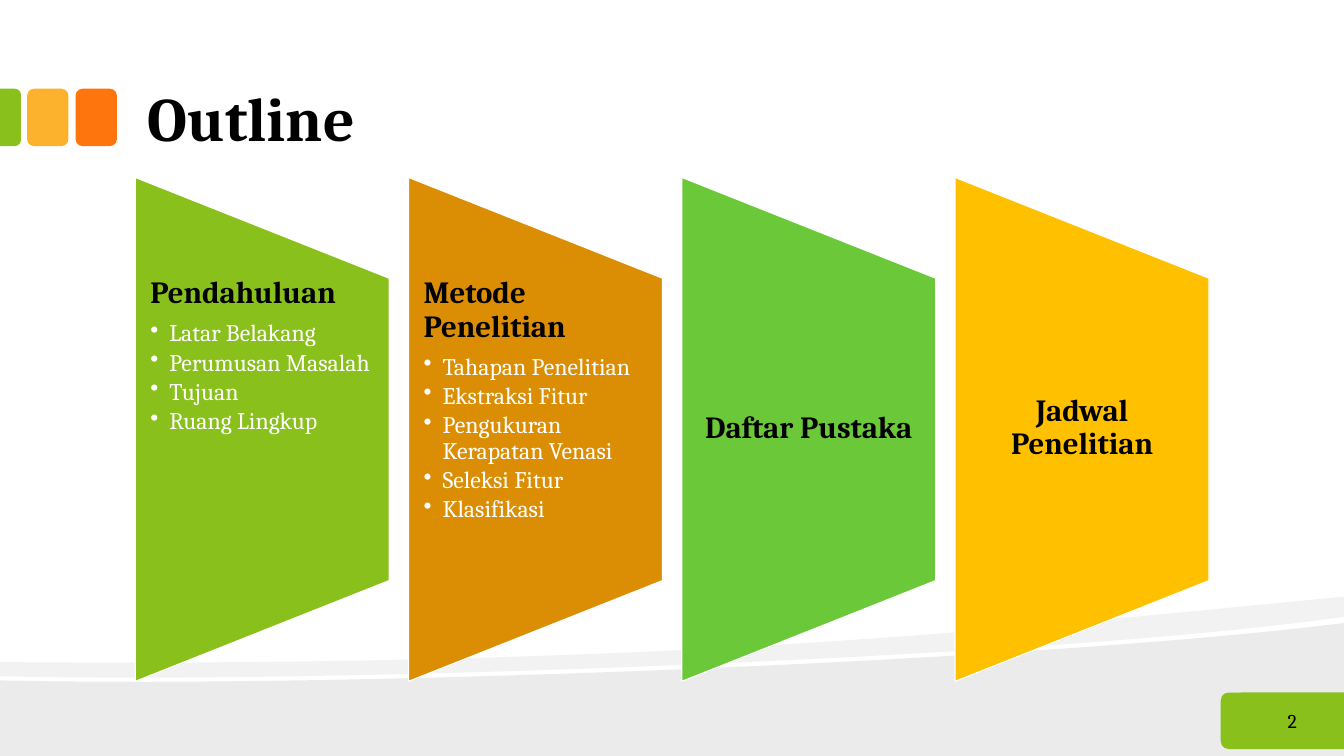
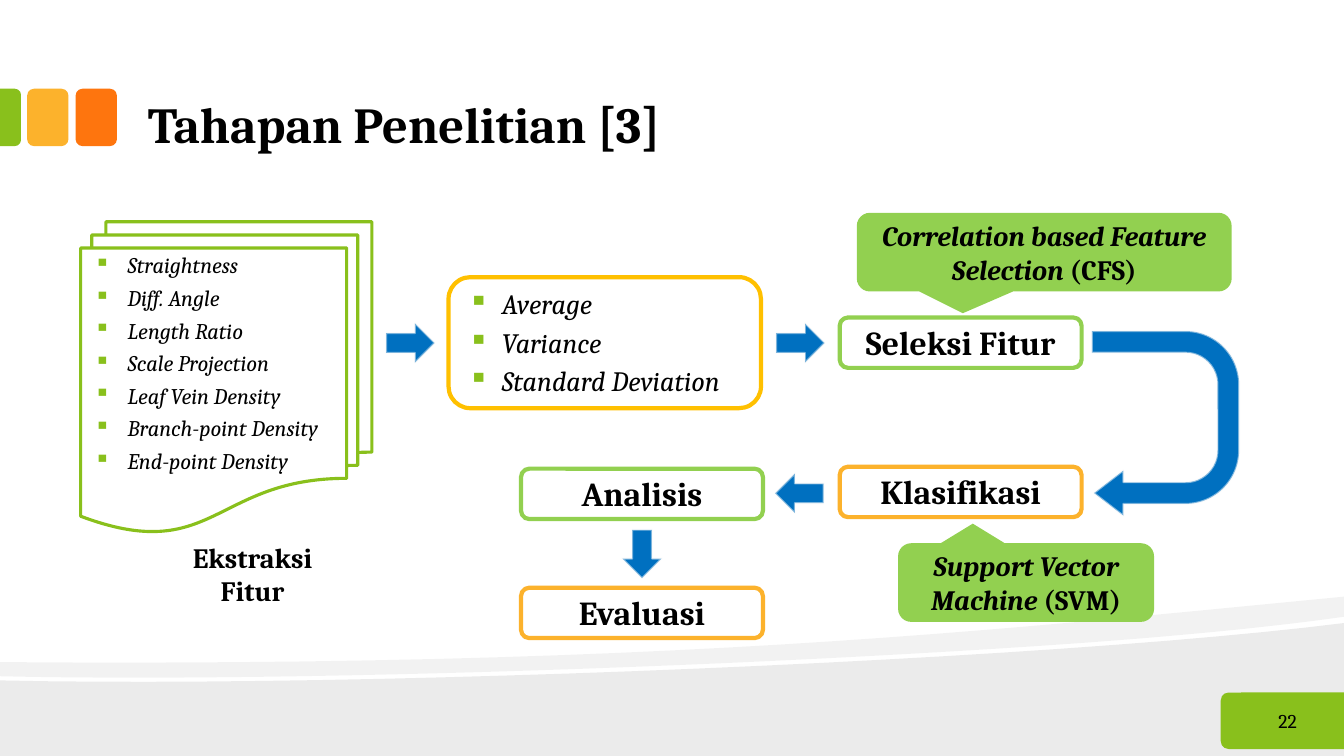
from dataclasses import dataclass, field

from lxml.etree import SubElement
from pptx import Presentation
from pptx.dml.color import RGBColor
from pptx.enum.shapes import MSO_SHAPE
from pptx.enum.text import MSO_ANCHOR, MSO_AUTO_SIZE, PP_ALIGN
from pptx.oxml.ns import qn
from pptx.util import Pt

BLACK = RGBColor(0x00, 0x00, 0x00)
WHITE = RGBColor(0xFF, 0xFF, 0xFF)
PALE = RGBColor(0xF9, 0xF9, 0xF9)
LIME = RGBColor(0x89, 0xC0, 0x1C)
AMBER = RGBColor(0xFC, 0xB2, 0x2C)
ORANGE = RGBColor(0xFE, 0x75, 0x0E)
OCHRE = RGBColor(0xDB, 0x8E, 0x03)
GREEN = RGBColor(0x6B, 0xC8, 0x38)
GOLD = RGBColor(0xFF, 0xC0, 0x00)
LEAF = RGBColor(0x92, 0xD0, 0x50)
BLUE = RGBColor(0x00, 0x70, 0xC0)

WIDE_INSET = (9.6, 4.8)
NORMAL_INSET = (7.2, 3.6)
PANEL_INSET = (10.8, 0)
CENTERED = {"alignment": PP_ALIGN.CENTER}
FLOW_SPACING = {"line_spacing": 0.9, "space_before": Pt(6)}
HEADING_FONT = {"size": Pt(22), "bold": True}
HEADING_SPACING = {"line_spacing": 0.9, "space_after": Pt(7.7)}
TOPIC_FONT = {"size": Pt(17)}
TOPIC_SPACING = {"line_spacing": 0.9, "space_after": Pt(2.55)}
CALLOUT_FONT = {"size": Pt(20), "bold": True, "italic": True}


@dataclass
class Bullet:
    mark: str
    indent: float
    color: RGBColor


@dataclass
class Para:
    text: str
    font: dict
    spacing: dict = field(default_factory=dict)
    color: RGBColor = BLACK
    bullet: Bullet = None
    upright_end: str = ""


def apply(target, values):
    for name, value in values.items():
        setattr(target, name, value)


def set_alpha(element, part, percent):
    for color in element.xpath(f".//{part}/a:solidFill/a:srgbClr"):
        SubElement(color, qn("a:alpha"), val=str(percent * 1000))


def curve(start, pull, push, end, steps=24):
    points = []
    for step in range(1, steps + 1):
        t = step / steps
        weights = ((1 - t) ** 3, 3 * t * (1 - t) ** 2, 3 * t * t * (1 - t), t**3)
        corners = (start, pull, push, end)
        points.append(tuple(sum(w * c[axis] for w, c in zip(weights, corners)) for axis in (0, 1)))
    return points


class Deck:
    font = "Cambria"

    def __init__(self):
        self.file = Presentation()
        apply(self.file, {"slide_width": Pt(960), "slide_height": Pt(540)})
        self.slide = None

    def new_slide(self, title, title_size, number):
        self.slide = self.file.slides.add_slide(self.file.slide_layouts[5])
        self.waves()
        self.shape(MSO_SHAPE.ROUNDED_RECTANGLE, (54, 63.4, 29.5, 41), ORANGE)
        self.shape(MSO_SHAPE.ROUNDED_RECTANGLE, (19.4, 63.4, 29.5, 41), AMBER)
        self.shape(MSO_SHAPE.ROUND_2_SAME_RECTANGLE, (0, 63.4, 15, 41), LIME, turn=90, adjust=(0.29, 0))
        self.shape(MSO_SHAPE.ROUND_2_SAME_RECTANGLE, (872, 494.6, 88, 40.4), LIME, turn=270, adjust=(0.14, 0))
        heading = self.slide.shapes.title
        self.place(heading, (96, 12, 768, 102.4))
        self.set_text(heading, [Para(title, {"size": Pt(title_size), "bold": True}, {"alignment": PP_ALIGN.LEFT})],
                      WIDE_INSET, MSO_ANCHOR.BOTTOM)
        self.text((872, 507.6, 64, 14.4), [Para(number, {"size": Pt(14)}, {"alignment": PP_ALIGN.RIGHT})],
                  WIDE_INSET, MSO_ANCHOR.MIDDLE)

    def waves(self):
        self.outline([(960, 445), (960, 540), (0, 540), (0, 486)]
                     + curve((0, 486), (253.4, 491.8), (750.2, 471.6), (960, 445)), 8)
        self.outline([(960, 426.2), (960, 440.6)]
                     + curve((960, 440.6), (903.6, 448.6), (827.3, 455.8), (740.9, 461.5))
                     + curve((740.9, 461.5), (502.6, 477.4), (185.8, 487.4), (0, 483.1))
                     + [(0, 473)]
                     + curve((0, 473), (469.4, 476.6), (699.1, 451.4), (960, 426.2)), 5)

    def outline(self, points, opacity):
        corners = [(Pt(x), Pt(y)) for x, y in points]
        builder = self.slide.shapes.build_freeform(*corners[0])
        builder.add_line_segments(corners[1:], close=True)
        wave = builder.convert_to_shape()
        self.paint(wave, BLACK)
        set_alpha(wave.element, "p:spPr", opacity)

    def place(self, item, box):
        apply(item, dict(zip(("left", "top", "width", "height"), map(Pt, box))))

    def paint(self, item, fill=None, line=None, weight=1):
        item.shadow.inherit = False
        for part, color in ((item.fill, fill), (item.line.fill, line)):
            if color is None:
                part.background()
            else:
                part.solid()
                part.fore_color.rgb = color
        if line is not None:
            item.line.width = Pt(weight)

    def shape(self, kind, box, fill=None, line=None, weight=1, turn=0, adjust=()):
        left, top, width, height = box
        if turn in (90, 270):
            left, top = left + (width - height) / 2, top + (height - width) / 2
            width, height = height, width
        item = self.slide.shapes.add_shape(kind, Pt(left), Pt(top), Pt(width), Pt(height))
        item.rotation = turn
        for index, value in enumerate(adjust):
            item.adjustments[index] = value
        self.paint(item, fill, line, weight)
        return item

    def text(self, box, paragraphs, inset=NORMAL_INSET, anchor=MSO_ANCHOR.TOP):
        self.set_text(self.slide.shapes.add_textbox(*map(Pt, box)), paragraphs, inset, anchor)

    def set_text(self, item, paragraphs, inset=NORMAL_INSET, anchor=MSO_ANCHOR.TOP):
        side, end = map(Pt, inset)
        frame = item.text_frame
        apply(frame, {"word_wrap": True, "auto_size": MSO_AUTO_SIZE.NONE, "vertical_anchor": anchor,
                      "margin_left": side, "margin_right": side, "margin_top": end, "margin_bottom": end})
        for index, content in enumerate(paragraphs):
            paragraph = frame.add_paragraph() if index else frame.paragraphs[0]
            apply(paragraph, {"alignment": PP_ALIGN.LEFT, **content.spacing})
            if content.bullet:
                self.add_bullet(paragraph, content.bullet)
            self.add_run(paragraph, content.text, content.font, content.color)
            if content.upright_end:
                self.add_run(paragraph, content.upright_end, {**content.font, "italic": False}, content.color)

    def add_run(self, paragraph, words, style, color):
        run = paragraph.add_run()
        run.text = words
        apply(run.font, {"name": self.font, **style})
        run.font.color.rgb = color

    def add_bullet(self, paragraph, bullet):
        properties = paragraph._p.get_or_add_pPr()
        properties.set("marL", str(Pt(bullet.indent)))
        properties.set("indent", str(-Pt(bullet.indent)))
        SubElement(SubElement(properties, qn("a:buClr")), qn("a:srgbClr"), val=str(bullet.color))
        SubElement(properties, qn("a:buChar"), char=bullet.mark)

    def panel(self, left, color, heading, topics):
        self.shape(MSO_SHAPE.FLOWCHART_MANUAL_OPERATION, (left, 126.7, 181.4, 360), color, WHITE, 0.85, turn=270)
        align = {} if topics else CENTERED
        dot = Bullet("•", 13.5, WHITE)
        paragraphs = [Para(heading, HEADING_FONT, {**HEADING_SPACING, **align})]
        paragraphs += [Para(topic, TOPIC_FONT, TOPIC_SPACING, WHITE, dot) for topic in topics]
        self.text((left, 198, 181.4, 216), paragraphs, PANEL_INSET,
                  MSO_ANCHOR.TOP if topics else MSO_ANCHOR.MIDDLE)

    def arrow(self, kind, box, **options):
        item = self.shape(kind, box, BLUE, PALE, 1.35, **options)
        set_alpha(item.element, "a:ln", 50)

    def feature_list(self, item, features, size):
        square = Bullet("▪", 24, LIME)
        style = {"size": Pt(size), "italic": True}
        self.set_text(item, [Para(feature, style, FLOW_SPACING, bullet=square) for feature in features], WIDE_INSET)

    def stage(self, left, top, color, label):
        item = self.shape(MSO_SHAPE.ROUNDED_RECTANGLE, (left, top, 172.8, 36), line=color, weight=3)
        self.set_text(item, [Para(label, {"size": Pt(24), "bold": True}, {**FLOW_SPACING, **CENTERED})], WIDE_INSET)

    def callout(self, box, adjust, method, short):
        item = self.shape(MSO_SHAPE.ROUNDED_RECTANGULAR_CALLOUT, box, LEAF, adjust=adjust)
        self.set_text(item, [Para(method, CALLOUT_FONT, CENTERED, upright_end=short)], anchor=MSO_ANCHOR.MIDDLE)


def build_outline(deck):
    deck.new_slide("Outline", 44, "2")
    chapters = [
        (LIME, "Pendahuluan", ["Latar Belakang", "Perumusan Masalah", "Tujuan", "Ruang Lingkup"]),
        (OCHRE, "Metode Penelitian", ["Tahapan Penelitian", "Ekstraksi Fitur", "Pengukuran Kerapatan Venasi",
                                      "Seleksi Fitur", "Klasifikasi"]),
        (GREEN, "Daftar Pustaka", []),
        (GOLD, "Jadwal Penelitian", []),
    ]
    for index, chapter in enumerate(chapters):
        deck.panel(96.6 + 195.2 * index, *chapter)


def build_stages(deck):
    deck.new_slide("Tahapan Penelitian [3]", 36, "22")
    for kind, box in (
        (MSO_SHAPE.RIGHT_ARROW, (275.8, 231, 34.6, 28)),
        (MSO_SHAPE.RIGHT_ARROW, (554.4, 231, 34.6, 28)),
        (MSO_SHAPE.LEFT_ARROW, (553.7, 338.4, 34.6, 28)),
        (MSO_SHAPE.DOWN_ARROW, (444.6, 378.4, 28, 34.6)),
    ):
        deck.arrow(kind, box)
    deck.arrow(MSO_SHAPE.U_TURN_ARROW, (780, 236.5, 105.1, 131.8), turn=90,
               adjust=(0.147, 0.153, 0.199, 0.364, 0.986))

    statistics = deck.shape(MSO_SHAPE.ROUNDED_RECTANGLE, (320.4, 198, 223.2, 93.6), line=GOLD, weight=3)
    deck.feature_list(statistics, ["Average", "Variance", "Standard Deviation"], 20)

    for left, top, color, label in (
        (599.8, 226.8, LEAF, "Seleksi Fitur"),
        (599.8, 333.4, AMBER, "Klasifikasi"),
        (372.2, 334.8, LEAF, "Analisis"),
        (372.2, 419.8, AMBER, "Evaluasi"),
    ):
        deck.stage(left, top, color, label)

    deck.callout((612, 152, 267.8, 56.2), (-0.217, 0.776, 0.167),
                 "Correlation based Feature Selection", " (CFS)")
    deck.callout((641.5, 388, 182.9, 56.2), (-0.208, -0.749, 0.167),
                 "Support Vector Machine ", "(SVM)")
    deck.text((114.5, 382.3, 131.8, 31.7), [Para("Ekstraksi Fitur", {"size": Pt(20), "bold": True}, CENTERED)])

    for left, top in ((75.6, 158.4), (65.5, 167.8), (57.6, 177.1)):
        front_sheet = deck.shape(MSO_SHAPE.FLOWCHART_DOCUMENT, (left, top, 190, 205.2), WHITE, LIME, 2.25)
    deck.feature_list(front_sheet, ["Straightness", "Diff. Angle", "Length Ratio", "Scale Projection",
                                    "Leaf Vein Density", "Branch-point Density", "End-point Density"], 16)


def main():
    deck = Deck()
    build_outline(deck)
    build_stages(deck)
    deck.file.save("out.pptx")


if __name__ == "__main__":
    main()
